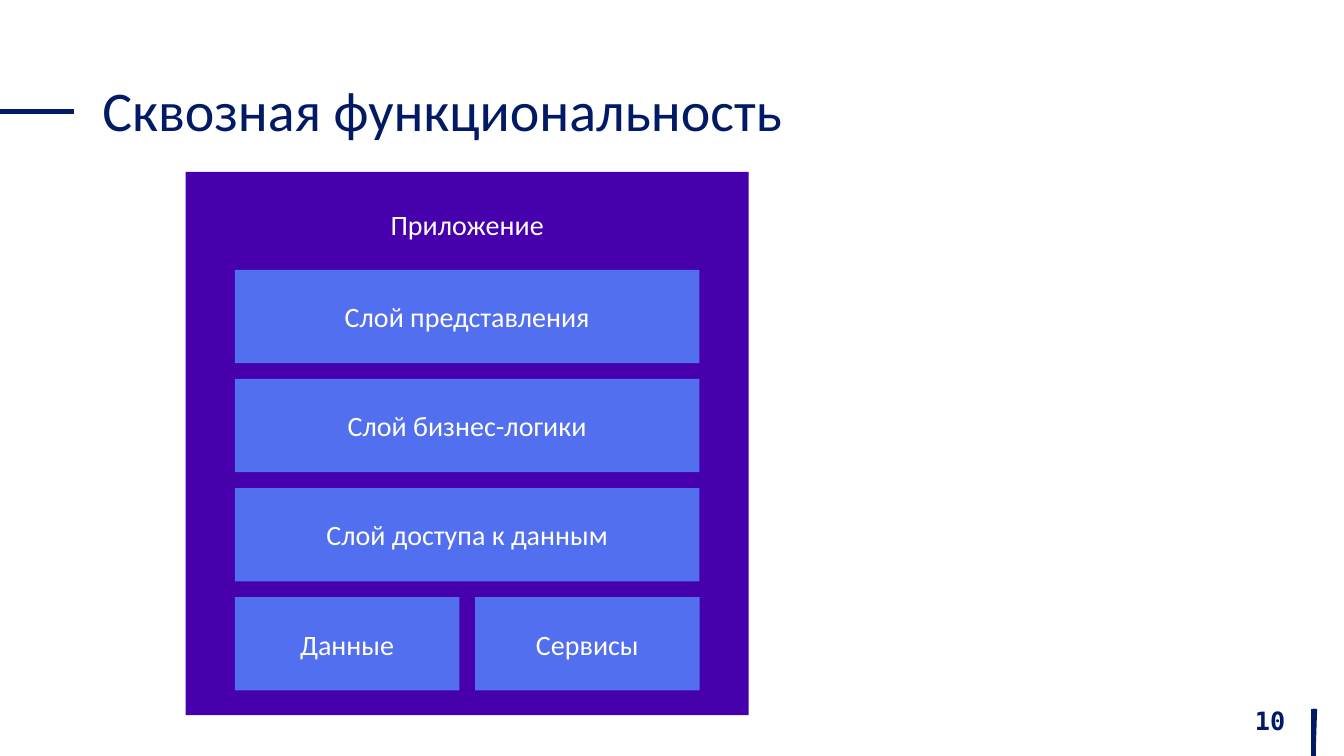
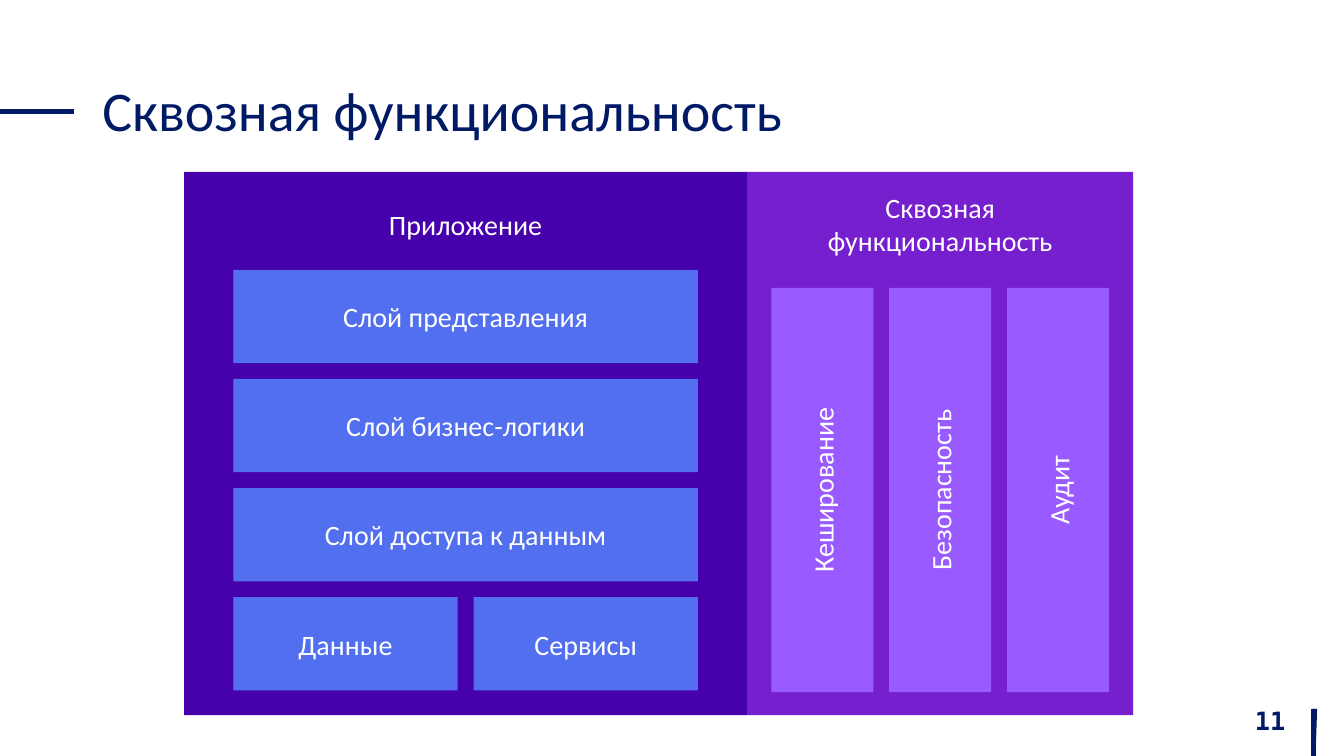
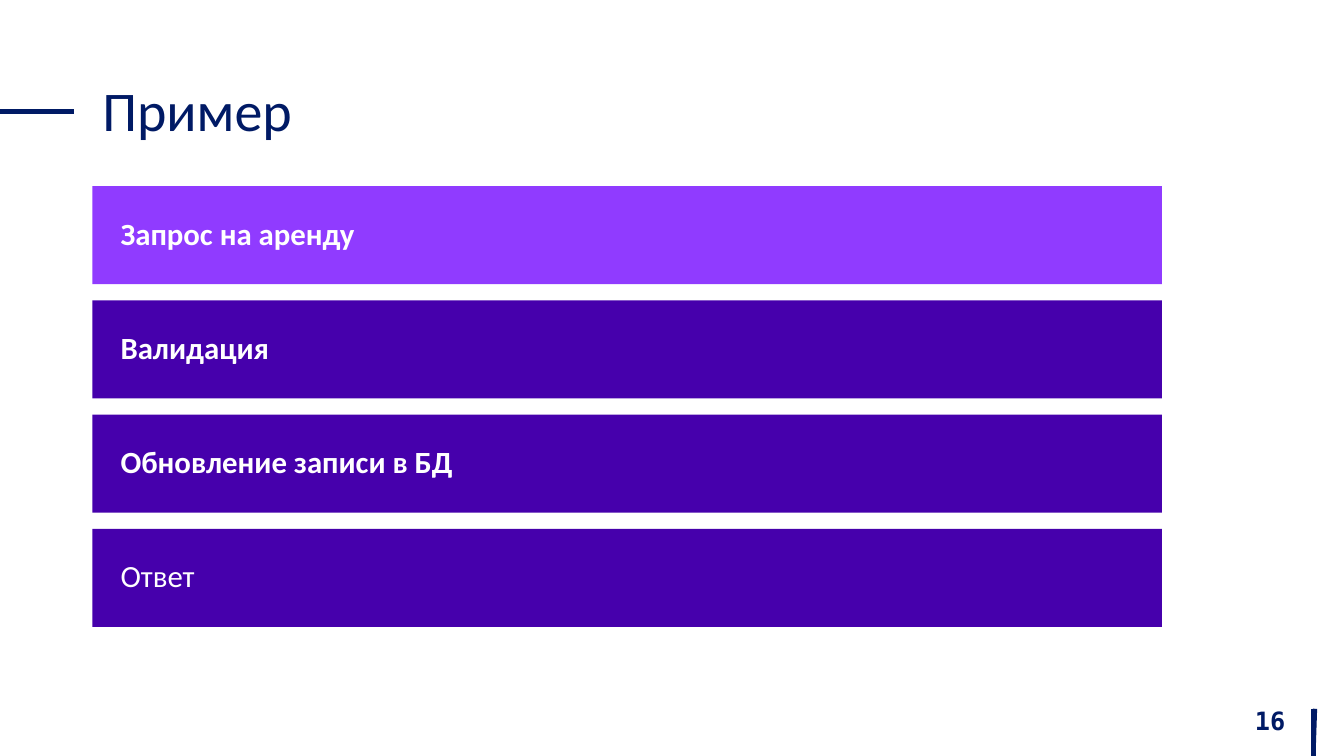
from lxml import etree
from pptx import Presentation
from pptx.dml.color import RGBColor
from pptx.enum import shapes, text
from pptx.oxml.ns import qn
from pptx.util import Cm, Pt

COLORS = {
    "navy": "001A65",
    "indigo": "4600AC",
    "blue": "516FEF",
    "purple": "751FCE",
    "lilac": "995AFF",
    "violet": "903BFF",
    "white": "FFFFFF",
}
FORMATS = {
    "title": {"name": "Calibri", "size": Pt(40)},
    "number": {"name": "DejaVu Sans Mono", "size": Pt(18), "bold": True},
    "label": {"name": "Calibri", "size": Pt(20)},
    "step": {"name": "Calibri", "size": Pt(22)},
    "strong step": {"name": "Calibri", "size": Pt(22), "bold": True},
}
RULES = [
    (0, 2.81, 1.87, 2.81),
    (33.14, 17.86, 33.1, 19.05),
    (33.1, 17.86, 33.1, 19.05),
]
LEFT, CENTER, RIGHT = text.PP_ALIGN.LEFT, text.PP_ALIGN.CENTER, text.PP_ALIGN.RIGHT
TOP, MIDDLE = text.MSO_ANCHOR.TOP, text.MSO_ANCHOR.MIDDLE

GAP = 0.4
PANEL_TOP, PANEL_WIDTH, PANEL_HEIGHT = 4.33, 14.19, 13.69


class Deck:
    """Holds the shared style and the slide being drawn."""

    def __init__(self):
        self.file = Presentation()
        self.file.slide_width, self.file.slide_height = Cm(33.87), Cm(19.05)
        self.slide = None

    def start_slide(self, title, number):
        self.slide = self.file.slides.add_slide(self.file.slide_layouts[6])
        for ends in RULES:
            self.rule(*ends)
        self.caption(title, (2.33, 1.02, 29.21, 3.68), "title", LEFT, 0.9)
        self.caption(str(number), (25.02, 17.65, 7.62, 1.02), "number", RIGHT)

    def rule(self, *ends):
        rule = self.slide.shapes.add_connector(
            shapes.MSO_CONNECTOR.STRAIGHT, *map(Cm, ends))
        rule.line.color.rgb = RGBColor.from_string(COLORS["navy"])
        rule.line.width = Pt(3)
        etree.SubElement(rule._element.spPr, qn("a:effectLst"))

    def caption(self, words, place, style, align, spacing=None):
        caption = self.slide.shapes.add_textbox(*map(Cm, place))
        self.set_words(caption, words, style, "navy", align, MIDDLE, (0.25, 0.13))
        caption.text_frame.paragraphs[0].line_spacing = spacing

    def block(self, words, place, color, style="label", align=CENTER,
              anchor=MIDDLE, inset=0.15, rotation=0):
        block = self.slide.shapes.add_shape(
            shapes.MSO_SHAPE.RECTANGLE, *map(Cm, place))
        block.shadow.inherit = False
        block.rotation = rotation
        block.fill.solid()
        block.fill.fore_color.rgb = RGBColor.from_string(COLORS[color])
        block.line.fill.background()
        self.set_words(block, words, style, "white", align, anchor, (inset, inset))

    def upright_block(self, words, place, color):
        """Fill the given upright area with a block that reads bottom to top."""
        left, top, width, height = place
        shift = (height - width) / 2
        self.block(words, (left - shift, top + shift, height, width), color,
                   rotation=270)

    def set_words(self, holder, words, style, color, align, anchor, insets):
        frame = holder.text_frame
        across, down = map(Cm, insets)
        layout = {"word_wrap": True, "vertical_anchor": anchor,
                  "margin_left": across, "margin_right": across,
                  "margin_top": down, "margin_bottom": down}
        for key, value in layout.items():
            setattr(frame, key, value)
        frame.text = words
        for paragraph in frame.paragraphs:
            paragraph.alignment = align
            for run in paragraph.runs:
                for key, value in FORMATS[style].items():
                    setattr(run.font, key, value)
                run.font.color.rgb = RGBColor.from_string(COLORS[color])


def draw_application(deck, left):
    """Draw the application panel with its stacked layers."""
    deck.block("Приложение", (left, PANEL_TOP, PANEL_WIDTH, PANEL_HEIGHT),
               "indigo", anchor=TOP, inset=0.89)
    margin, first_top, height = 1.24, 6.8, 2.35
    layers = [
        ["Слой представления"],
        ["Слой бизнес-логики"],
        ["Слой доступа к данным"],
        ["Данные", "Сервисы"],
    ]
    for row, names in enumerate(layers):
        width = (PANEL_WIDTH - 2 * margin - GAP * (len(names) - 1)) / len(names)
        for column, name in enumerate(names):
            deck.block(name, (left + margin + column * (width + GAP),
                              first_top + row * (height + GAP), width, height),
                       "blue")


def draw_crosscutting(deck, left):
    """Draw the panel of concerns shared by all layers."""
    panel_width, margin, top, height = 9.73, 0.61, 7.25, 10.19
    deck.block("Сквозная\nфункциональность",
               (left, PANEL_TOP, panel_width, PANEL_HEIGHT),
               "purple", anchor=TOP, inset=0.46)
    concerns = ["Кеширование", "Безопасность", "Аудит"]
    width = (panel_width - 2 * margin - GAP * (len(concerns) - 1)) / len(concerns)
    for column, name in enumerate(concerns):
        deck.upright_block(name, (left + margin + column * (width + GAP),
                                  top, width, height), "lilac")


def draw_steps(deck):
    steps = [
        ("Запрос на аренду", "violet", "strong step"),
        ("Валидация", "indigo", "strong step"),
        ("Обновление записи в БД", "indigo", "strong step"),
        ("Ответ", "indigo", "step"),
    ]
    for row, (name, color, style) in enumerate(steps):
        deck.block(name, (2.33, 4.69 + row * 2.88, 26.95, 2.47), color, style,
                   LEFT, TOP, inset=0.71)


def main():
    deck = Deck()

    deck.start_slide("Сквозная функциональность", 10)
    draw_application(deck, 4.68)

    deck.start_slide("Сквозная функциональность", 11)
    application_left = 4.64
    draw_application(deck, application_left)
    draw_crosscutting(deck, application_left + PANEL_WIDTH)

    deck.start_slide("Пример", 16)
    draw_steps(deck)

    deck.file.save("out.pptx")


if __name__ == "__main__":
    main()
